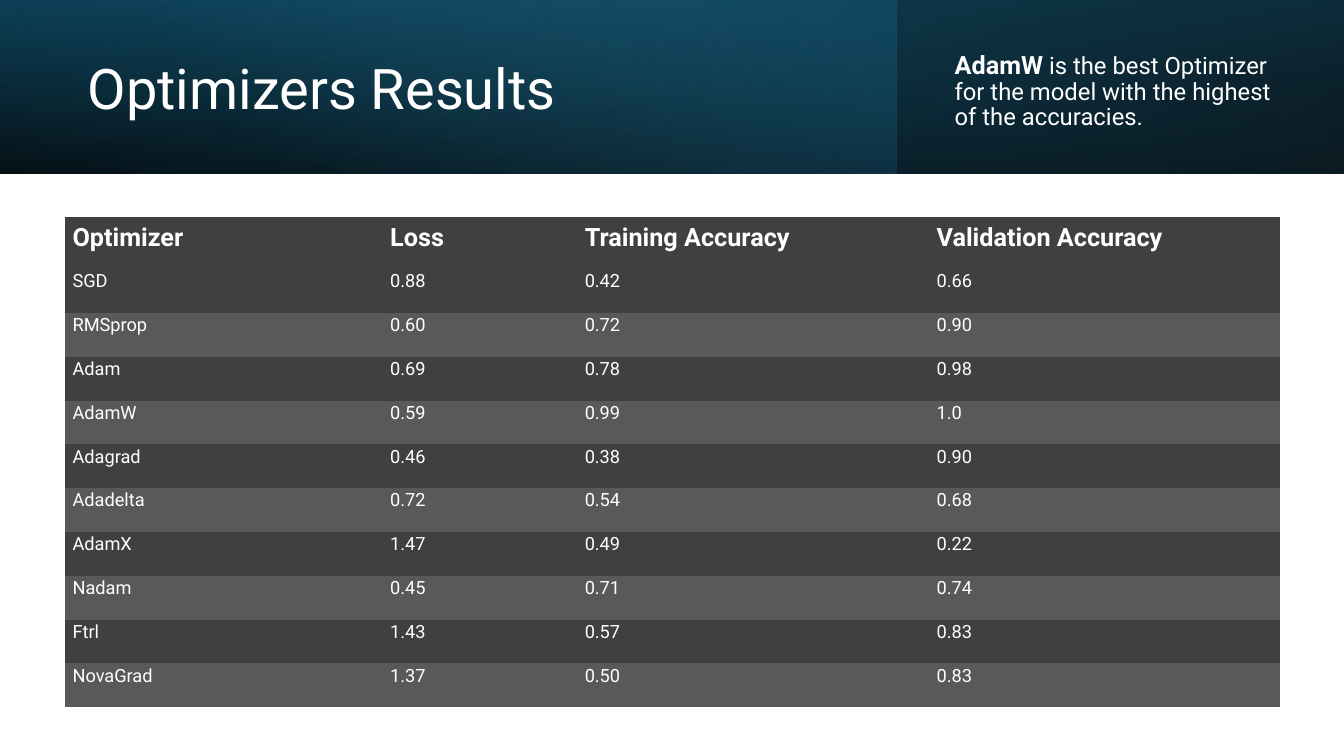
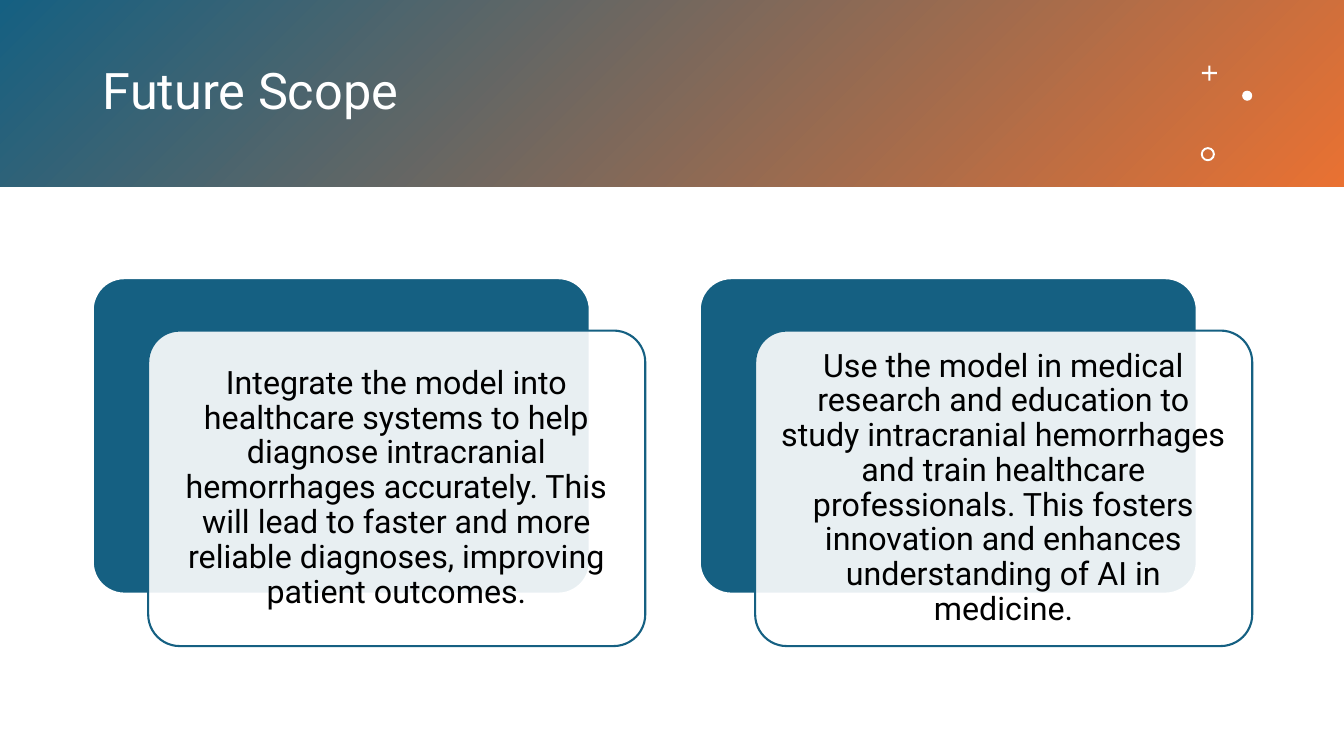
import pptx
import pptx.util
import pptx.dml.color
import pptx.enum.shapes
import pptx.enum.text
import pptx.oxml.ns
import lxml.etree

Inches = pptx.util.Inches
Pt = pptx.util.Pt
SHAPE = pptx.enum.shapes.MSO_SHAPE
ANCHOR = pptx.enum.text.MSO_ANCHOR
ALIGN = pptx.enum.text.PP_ALIGN
qn = pptx.oxml.ns.qn

# Shared style
FONT = "Roboto"
WHITE, BLACK, BLUE, ORANGE = "FFFFFF", "000000", "156082", "E97132"
NAVY, SKY = "104862", "46B1E1"
DARK_GREY, MID_GREY = "404040", "595959"
NO_TABLE_STYLE = "{2D5ABB26-0587-4C30-8999-92F81FD0307C}"
SLIDE_WIDTH, SLIDE_HEIGHT = 13.33, 7.5

# Content: bands are width, height, clockwise angle, (position, colour, opacity) stops
RESULTS_BANDS = [
    (SLIDE_WIDTH, 1.72, 260, [(0, BLACK, 96), (100, NAVY, 100)]),
    (8.89, 1.72, 140, [(0, BLUE, 41), (74, SKY, 0)]),
    (SLIDE_WIDTH, 1.72, 280, [(0, BLACK, 63), (78, BLUE, 15)]),
]
SCOPE_BANDS = [(SLIDE_WIDTH, 1.85, 45, [(0, BLUE, 100), (100, ORANGE, 100)])]

FINDING = [
    ("AdamW", 18, True),
    (" is the best Optimizer for the model with the highest of the accuracies.", 17, False),
]
COLUMN_WIDTHS = [3.15, 1.93, 3.49, 3.49]
RESULTS = [
    ("Optimizer", "Loss", "Training Accuracy", "Validation Accuracy"),
    ("SGD", "0.88", "0.42", "0.66"),
    ("RMSprop", "0.60", "0.72", "0.90"),
    ("Adam", "0.69", "0.78", "0.98"),
    ("AdamW", "0.59", "0.99", "1.0"),
    ("Adagrad", "0.46", "0.38", "0.90"),
    ("Adadelta", "0.72", "0.54", "0.68"),
    ("AdamX", "1.47", "0.49", "0.22"),
    ("Nadam", "0.45", "0.71", "0.74"),
    ("Ftrl", "1.43", "0.57", "0.83"),
    ("NovaGrad", "1.37", "0.50", "0.83"),
]
SCOPES = [
    "Integrate the model into healthcare systems to help diagnose intracranial "
    "hemorrhages accurately. This will lead to faster and more reliable diagnoses, "
    "improving patient outcomes.",
    "Use the model in medical research and education to study intracranial "
    "hemorrhages and train healthcare professionals. This fosters innovation and "
    "enhances understanding of AI in medicine.",
]
# Ornaments: preset, left, top, size, adjustment
ORNAMENTS = [
    (SHAPE.CROSS, 11.92, 0.65, 0.15, 0.43),
    (SHAPE.OVAL, 12.32, 0.9, 0.1, None),
    (SHAPE.DONUT, 11.91, 1.46, 0.14, 0.14),
]


def color(value):
    return pptx.dml.color.RGBColor.from_string(value)


def set_opacity(color_element, percent):
    if percent < 100:
        alpha = lxml.etree.SubElement(color_element, qn("a:alpha"))
        alpha.set("val", str(percent * 1000))


def set_font(font, size, value, bold=False):
    font.name, font.size, font.bold = FONT, Pt(size), bold
    font.color.rgb = color(value)


def add_shape(slide, preset, box, fill=None, line=None, adjustment=None):
    shape = slide.shapes.add_shape(preset, *map(Inches, box))
    shape.shadow.inherit = False
    if adjustment is not None:
        shape.adjustments[0] = adjustment
    if fill:
        shape.fill.solid()
        shape.fill.fore_color.rgb = color(fill)
    if line:
        shape.line.color.rgb = color(line)
        shape.line.width = Pt(1.5)
    else:
        shape.line.fill.background()
    return shape


def add_band(slide, width, height, angle, stops):
    band = add_shape(slide, SHAPE.RECTANGLE, (0, 0, width, height))
    band.fill.gradient()
    band.fill.gradient_angle = 360 - angle
    for stop, (position, value, _) in zip(band.fill.gradient_stops, stops):
        stop.position = position / 100
        stop.color.rgb = color(value)
    for element, (_, _, opacity) in zip(band.element.spPr.iter(qn("a:srgbClr")), stops):
        set_opacity(element, opacity)


def add_titled_slide(presentation, text, box, size, bands):
    slide = presentation.slides.add_slide(presentation.slide_layouts[5])
    for band in bands:
        add_band(slide, *band)
    title = slide.shapes.title
    slide.shapes.element.append(title.element)  # in front of the bands
    title.left, title.top, title.width, title.height = map(Inches, box)
    frame = title.text_frame
    frame.text = text
    frame.auto_size = pptx.enum.text.MSO_AUTO_SIZE.NONE
    frame.vertical_anchor = ANCHOR.MIDDLE
    paragraph = frame.paragraphs[0]
    paragraph.alignment = ALIGN.LEFT
    paragraph.line_spacing = 0.9
    set_font(paragraph.font, size, WHITE)
    return slide


def add_finding(slide):
    frame = slide.shapes.add_textbox(*map(Inches, (9.37, 0.43, 3.54, 0.96))).text_frame
    frame.word_wrap = True
    frame.vertical_anchor = ANCHOR.MIDDLE
    paragraph = frame.paragraphs[0]
    paragraph.line_spacing = 0.9
    paragraph.space_before = Pt(10)
    for text, size, bold in FINDING:
        run = paragraph.add_run()
        run.text = text
        set_font(run.font, size, WHITE, bold)


def add_left_border(cell_properties, value):
    border = lxml.etree.Element(qn("a:lnL"), w=str(Pt(1)))
    fill = lxml.etree.SubElement(border, qn("a:solidFill"))
    lxml.etree.SubElement(fill, qn("a:srgbClr"), val=value)
    cell_properties.insert(0, border)  # borders come before the fill


def add_results_table(slide):
    height, header_height = 4.87, 0.52
    table_frame = slide.shapes.add_table(
        len(RESULTS), len(COLUMN_WIDTHS),
        *map(Inches, (0.64, 2.15, sum(COLUMN_WIDTHS), height)))
    table = table_frame.table
    table_frame.element.find(".//" + qn("a:tableStyleId")).text = NO_TABLE_STYLE
    for column, width in zip(table.columns, COLUMN_WIDTHS):
        column.width = Inches(width)
    body_height = (height - header_height) / (len(RESULTS) - 1)
    for row_index, values in enumerate(RESULTS):
        header = row_index == 0
        table.rows[row_index].height = Inches(header_height if header else body_height)
        banded = not header and row_index % 2 == 0
        for column_index, text in enumerate(values):
            cell = table.cell(row_index, column_index)
            cell.text = text
            cell.margin_left, cell.margin_top = Inches(0.08), Inches(0.02)
            cell.margin_right, cell.margin_bottom = Inches(0.11), Inches(0.16)
            cell.vertical_anchor = ANCHOR.BOTTOM if header else ANCHOR.TOP
            set_font(cell.text_frame.paragraphs[0].font, 18 if header else 13, WHITE, header)
            cell.fill.solid()
            cell.fill.fore_color.rgb = color(MID_GREY if banded else DARK_GREY)

    # White left edge on the body rows
    for row_element in list(table_frame.element.iter(qn("a:tr")))[1:]:
        add_left_border(row_element.find(".//" + qn("a:tcPr")), WHITE)


def add_scope_card(slide, left, text):
    top, width, height, offset = 2.76, 4.93, 3.13, (0.55, 0.52)
    add_shape(slide, SHAPE.ROUNDED_RECTANGLE, (left, top, width, height), BLUE, WHITE, 0.1)
    card = add_shape(slide, SHAPE.ROUNDED_RECTANGLE,
                     (left + offset[0], top + offset[1], width, height), WHITE, BLUE, 0.1)
    set_opacity(card.element.spPr.find(qn("a:solidFill")).find(qn("a:srgbClr")), 90)
    frame = card.text_frame
    frame.text = text
    frame.word_wrap = True
    frame.vertical_anchor = ANCHOR.MIDDLE
    frame.margin_left = frame.margin_right = Inches(0.1)
    frame.margin_top = frame.margin_bottom = Inches(0.1)
    paragraph = frame.paragraphs[0]
    paragraph.alignment = ALIGN.CENTER
    paragraph.line_spacing = 0.9
    set_font(paragraph.font, 23, BLACK)


def main():
    presentation = pptx.Presentation()
    presentation.slide_width = Inches(SLIDE_WIDTH)
    presentation.slide_height = Inches(SLIDE_HEIGHT)

    # Optimizer results
    slide = add_titled_slide(presentation, "Optimizers Results",
                             (0.77, 0.27, 7.72, 1.27), 40, RESULTS_BANDS)
    add_finding(slide)
    add_results_table(slide)

    # Future scope
    slide = add_titled_slide(presentation, "Future Scope",
                             (0.92, 0.33, 10.75, 1.19), 36, SCOPE_BANDS)
    for preset, left, top, size, adjustment in ORNAMENTS:
        add_shape(slide, preset, (left, top, size, size), WHITE, adjustment=adjustment)
    for index, text in enumerate(SCOPES):
        add_scope_card(slide, 0.92 + index * 6.02, text)

    presentation.save("out.pptx")


if __name__ == "__main__":
    main()
